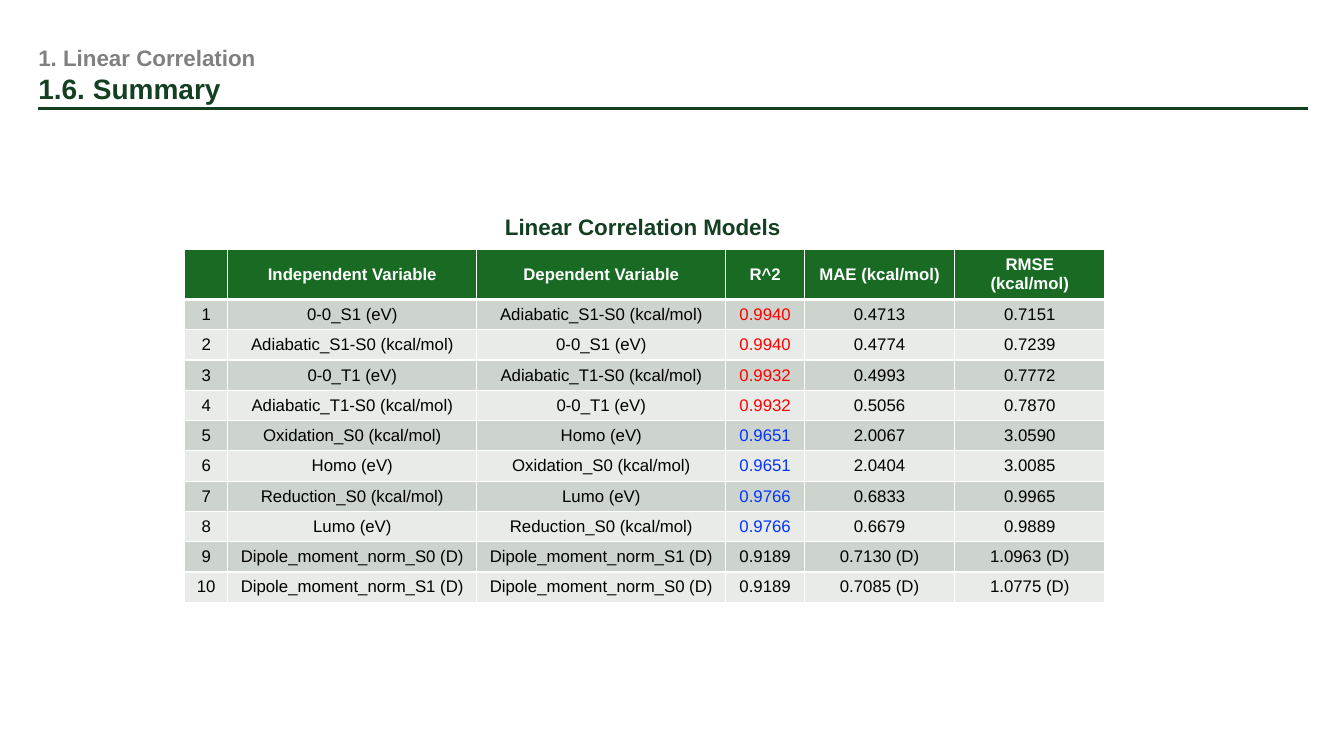
"""Build the linear correlation summary slide."""
from lxml import etree
from pptx import Presentation
from pptx import util as u
from pptx.dml.color import RGBColor
from pptx.enum import shapes, text
from pptx.oxml import ns

DARK_GREEN = RGBColor(0x14, 0x3F, 0x21)
HEADER_GREEN = RGBColor(0x19, 0x6B, 0x24)
BAND_DARK = RGBColor(0xCC, 0xD4, 0xCD)
BAND_LIGHT = RGBColor(0xE8, 0xEB, 0xE8)
GRAY = RGBColor(0x80, 0x80, 0x80)
WHITE = RGBColor(0xFF, 0xFF, 0xFF)
BLACK = RGBColor(0x00, 0x00, 0x00)
RED = RGBColor(0xFF, 0x00, 0x00)
BLUE = RGBColor(0x04, 0x32, 0xFF)

SCORE_COLORS = {"0.9940": RED, "0.9932": RED, "0.9651": BLUE, "0.9766": BLUE}
COLUMN_WIDTHS = (0.43, 2.47, 2.47, 0.78, 1.49, 1.49)
HEADER_HEIGHT, ROW_HEIGHT = 0.5, 0.3
HEADERS = ("", "Independent Variable", "Dependent Variable", "R^2",
           "MAE (kcal/mol)", "RMSE (kcal/mol)")
MODELS = (
    ("0-0_S1 (eV)", "Adiabatic_S1-S0 (kcal/mol)", "0.9940", "0.4713", "0.7151"),
    ("Adiabatic_S1-S0 (kcal/mol)", "0-0_S1 (eV)", "0.9940", "0.4774", "0.7239"),
    ("0-0_T1 (eV)", "Adiabatic_T1-S0 (kcal/mol)", "0.9932", "0.4993", "0.7772"),
    ("Adiabatic_T1-S0 (kcal/mol)", "0-0_T1 (eV)", "0.9932", "0.5056", "0.7870"),
    ("Oxidation_S0 (kcal/mol)", "Homo (eV)", "0.9651", "2.0067", "3.0590"),
    ("Homo (eV)", "Oxidation_S0 (kcal/mol)", "0.9651", "2.0404", "3.0085"),
    ("Reduction_S0 (kcal/mol)", "Lumo (eV)", "0.9766", "0.6833", "0.9965"),
    ("Lumo (eV)", "Reduction_S0 (kcal/mol)", "0.9766", "0.6679", "0.9889"),
    ("Dipole_moment_norm_S0 (D)", "Dipole_moment_norm_S1 (D)", "0.9189",
     "0.7130 (D)", "1.0963 (D)"),
    ("Dipole_moment_norm_S1 (D)", "Dipole_moment_norm_S0 (D)", "0.9189",
     "0.7085 (D)", "1.0775 (D)"),
)


def apply(target, values):
    for name, value in values.items():
        setattr(target, name, value)


class SlideBuilder:
    def __init__(self, slide, font_name):
        self.slide = slide
        self.font_name = font_name

    def add_words(self, paragraph, words, size, color, bold):
        run = paragraph.add_run()
        run.text = words
        apply(run.font, {"name": self.font_name, "size": u.Pt(size), "bold": bold})
        run.font.color.rgb = color

    def text_box(self, box, lines, frame_format):
        shape = self.slide.shapes.add_textbox(*map(u.Inches, box))
        frame = shape.text_frame
        apply(frame, {"auto_size": text.MSO_AUTO_SIZE.SHAPE_TO_FIT_TEXT, **frame_format})
        for index, (words, size, color) in enumerate(lines):
            paragraph = frame.add_paragraph() if index else frame.paragraphs[0]
            self.add_words(paragraph, words, size, color, True)

    def rule(self, ends, color, width):
        connector = self.slide.shapes.add_connector(
            shapes.MSO_CONNECTOR.STRAIGHT, *map(u.Inches, ends))
        connector.line.color.rgb = color
        connector.line.width = u.Pt(width)
        properties = connector.element.find(ns.qn("p:spPr"))
        etree.SubElement(properties, ns.qn("a:effectLst"))

    def borders(self, cell, top, bottom):
        properties = cell._tc.get_or_add_tcPr()
        for side, width in {"L": 1, "R": 1, "T": top, "B": bottom}.items():
            line = etree.SubElement(properties, ns.qn(f"a:ln{side}"), w=str(u.Pt(width)))
            fill = etree.SubElement(line, ns.qn("a:solidFill"))
            etree.SubElement(fill, ns.qn("a:srgbClr"), val=str(WHITE))

    def cell(self, cell, words, row_index):
        header = row_index == 0
        self.borders(cell, 3 if row_index == 1 else 1, 3 if header else 1)
        cell.fill.solid()
        band = BAND_DARK if row_index % 2 else BAND_LIGHT
        cell.fill.fore_color.rgb = HEADER_GREEN if header else band
        cell.vertical_anchor = text.MSO_ANCHOR.MIDDLE
        if words:
            paragraph = cell.text_frame.paragraphs[0]
            paragraph.alignment = text.PP_ALIGN.CENTER
            color = WHITE if header else SCORE_COLORS.get(words, BLACK)
            self.add_words(paragraph, words, 12, color, header)

    def table(self, left, top, rows):
        height = HEADER_HEIGHT + ROW_HEIGHT * (len(rows) - 1)
        box = (left, top, sum(COLUMN_WIDTHS), height)
        table = self.slide.shapes.add_table(
            len(rows), len(COLUMN_WIDTHS), *map(u.Inches, box)).table
        for column, width in zip(table.columns, COLUMN_WIDTHS):
            column.width = u.Inches(width)
        for row_index, values in enumerate(rows):
            row_height = ROW_HEIGHT if row_index else HEADER_HEIGHT
            table.rows[row_index].height = u.Inches(row_height)
            for column_index, words in enumerate(values):
                self.cell(table.cell(row_index, column_index), words, row_index)


def main():
    presentation = Presentation()
    apply(presentation, {"slide_width": u.Inches(13.33), "slide_height": u.Inches(7.5)})
    slide = presentation.slides.add_slide(presentation.slide_layouts[6])
    builder = SlideBuilder(slide, "Arial")
    builder.rule((0.38, 1.08, 12.97, 1.08), DARK_GREEN, 2.25)
    no_margins = dict.fromkeys(
        ("margin_left", "margin_top", "margin_right", "margin_bottom"), 0)
    builder.text_box(
        (0.38, 0.44, 12.02, 0.61),
        [("1. Linear Correlation", 16, GRAY), ("1.6. Summary", 20, DARK_GREEN)],
        {"word_wrap": True, **no_margins})
    numbered = [(str(number), *model) for number, model in enumerate(MODELS, 1)]
    builder.table(1.83, 2.47, [HEADERS, *numbered])
    builder.text_box((4.91, 2.07, 2.97, 0.37),
                     [("Linear Correlation Models", 16, DARK_GREEN)],
                     {"word_wrap": False})
    presentation.save("out.pptx")


if __name__ == "__main__":
    main()
